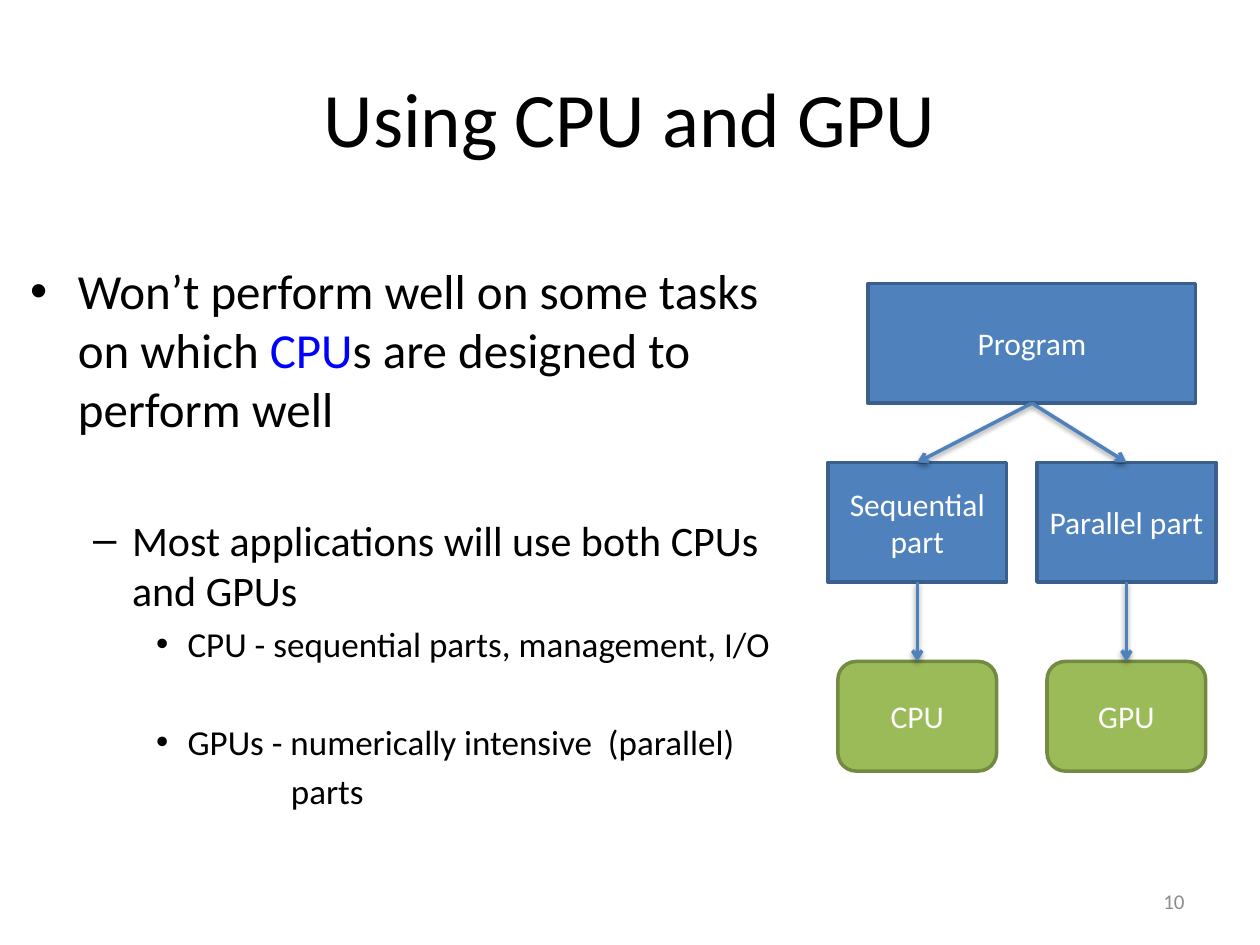
from lxml import etree
from pptx import Presentation
from pptx.dml.color import RGBColor
from pptx.enum.shapes import MSO_CONNECTOR, MSO_SHAPE
from pptx.enum.text import MSO_ANCHOR, PP_ALIGN
from pptx.oxml.ns import qn
from pptx.util import Inches, Pt

RECT, ROUNDED = MSO_SHAPE.RECTANGLE, MSO_SHAPE.ROUNDED_RECTANGLE
STRAIGHT = MSO_CONNECTOR.STRAIGHT
TOP, MIDDLE = MSO_ANCHOR.TOP, MSO_ANCHOR.MIDDLE
LEFT, CENTER, RIGHT = PP_ALIGN.LEFT, PP_ALIGN.CENTER, PP_ALIGN.RIGHT
BLUE, BLUE_EDGE = "4F81BD", "3A5F8C"
GREEN, GREEN_EDGE = "9BBB59", "738A42"
BLACK, WHITE, GREY, LINK_BLUE = "000000", "FFFFFF", "8C8C8C", "0000FF"
BOTTOM_SITE, TOP_SITE = 2, 0

BODY = [
    ([("Won’t perform well on some tasks on which ", BLACK), ("CPU", LINK_BLUE),
      ("s are designed to perform well", BLACK)], 28, 0, 0.38, -0.38, "•", 0),
    ([("Most applications will use both CPUs and GPUs", BLACK)], 24, 1, 0.81, -0.31, "–", 44),
    ([("CPU - sequential parts, management, I/O", BLACK)], 20, 2, 1.25, -0.25, "•", 4),
    ([("GPUs - numerically intensive  (parallel)", BLACK)], 20, 2, 1.25, -0.25, "•", 32),
    ([("parts", BLACK)], 20, 2, 2.07, 0, None, 4),
]


def rgb(value):
    """Turn a hex string into a colour."""
    return RGBColor.from_string(value)


def style_run(r, size, color):
    """Set the font of a run."""
    r.font.name = "Calibri"
    r.font.size = Pt(size)
    r.font.color.rgb = rgb(color)


def set_text(tf, text, size, color, align, anchor=MIDDLE):
    """Write one paragraph into a text frame."""
    tf.word_wrap = True
    tf.vertical_anchor = anchor
    tf.text = text
    p = tf.paragraphs[0]
    p.alignment = align
    style_run(p.runs[0], size, color)


def add_text(s, text, box, size, color, align):
    """Add a text box with a single paragraph."""
    sp = s.shapes.add_textbox(*map(Inches, box))
    set_text(sp.text_frame, text, size, color, align)


def set_bullet(p, indent, hanging, bullet):
    """Give a paragraph its indents and bullet."""
    pPr = p._p.get_or_add_pPr()
    pPr.set("marL", str(Inches(indent)))
    pPr.set("indent", str(Inches(hanging)))
    if bullet:
        etree.SubElement(pPr, qn("a:buFont")).set("typeface", "Arial")
        etree.SubElement(pPr, qn("a:buChar")).set("char", bullet)
    else:
        etree.SubElement(pPr, qn("a:buNone"))


def add_body(s, items, box):
    """Add the bulleted list."""
    tf = s.shapes.add_textbox(*map(Inches, box)).text_frame
    tf.word_wrap = True
    tf.vertical_anchor = TOP
    for i, (runs, size, level, indent, hanging, bullet, before) in enumerate(items):
        p = tf.add_paragraph() if i else tf.paragraphs[0]
        p.level = level
        p.alignment = LEFT
        p.space_before = Pt(before)
        set_bullet(p, indent, hanging, bullet)
        for text, color in runs:
            r = p.add_run()
            r.text = text
            style_run(r, size, color)


def add_node(s, kind, text, center, top, width, height, fill, edge):
    """Add a labelled diagram box centred on a column."""
    sp = s.shapes.add_shape(kind, Inches(center - width / 2), Inches(top),
                            Inches(width), Inches(height))
    sp.shadow.inherit = False
    sp.fill.solid()
    sp.fill.fore_color.rgb = rgb(fill)
    sp.line.color.rgb = rgb(edge)
    sp.line.width = Pt(2)
    set_text(sp.text_frame, text, 18, WHITE, CENTER)
    return sp


def add_arrow(s, start, end):
    """Join the bottom of one box to the top of another with a shadowed arrow."""
    line = s.shapes.add_connector(STRAIGHT, 0, 0, 0, 0)
    line.begin_connect(start, BOTTOM_SITE)
    line.end_connect(end, TOP_SITE)
    line.line.color.rgb = rgb(BLUE)
    line.line.width = Pt(2)
    etree.SubElement(line.line._get_or_add_ln(), qn("a:tailEnd")).set("type", "arrow")
    effects = etree.SubElement(line._element.spPr, qn("a:effectLst"))
    shadow = etree.SubElement(effects, qn("a:outerShdw"), blurRad=str(Pt(3.1)),
                              dist=str(Pt(1.6)), dir="5400000", rotWithShape="0")
    color = etree.SubElement(shadow, qn("a:srgbClr"), val=BLACK)
    etree.SubElement(color, qn("a:alpha"), val="38000")


def add_diagram(s):
    """Add the program, its two parts and their processors."""
    program = add_node(s, RECT, "Program", 8.19, 2.25, 2.6, 0.95, BLUE, BLUE_EDGE)
    columns = [(7.28, "Sequential part", "CPU"), (8.94, "Parallel part", "GPU")]
    for center, part_name, processor_name in columns:
        part = add_node(s, RECT, part_name, center, 3.67, 1.42, 0.95, BLUE, BLUE_EDGE)
        processor = add_node(s, ROUNDED, processor_name, center, 5.25, 1.26, 0.87,
                             GREEN, GREEN_EDGE)
        add_arrow(s, program, part)
        add_arrow(s, part, processor)


def main():
    """Build and save the slide."""
    prs = Presentation()
    prs.slide_width, prs.slide_height = Inches(10), Inches(7.5)
    s = prs.slides.add_slide(prs.slide_layouts[6])
    add_text(s, "Using CPU and GPU", (0.5, 0.3, 9, 1.25), 44, BLACK, CENTER)
    add_body(s, BODY, (0.14, 2.02, 6.38, 4.95))
    add_diagram(s)
    add_text(s, "10", (7.17, 6.95, 2.33, 0.4), 12, GREY, RIGHT)
    prs.save("out.pptx")


if __name__ == "__main__":
    main()
